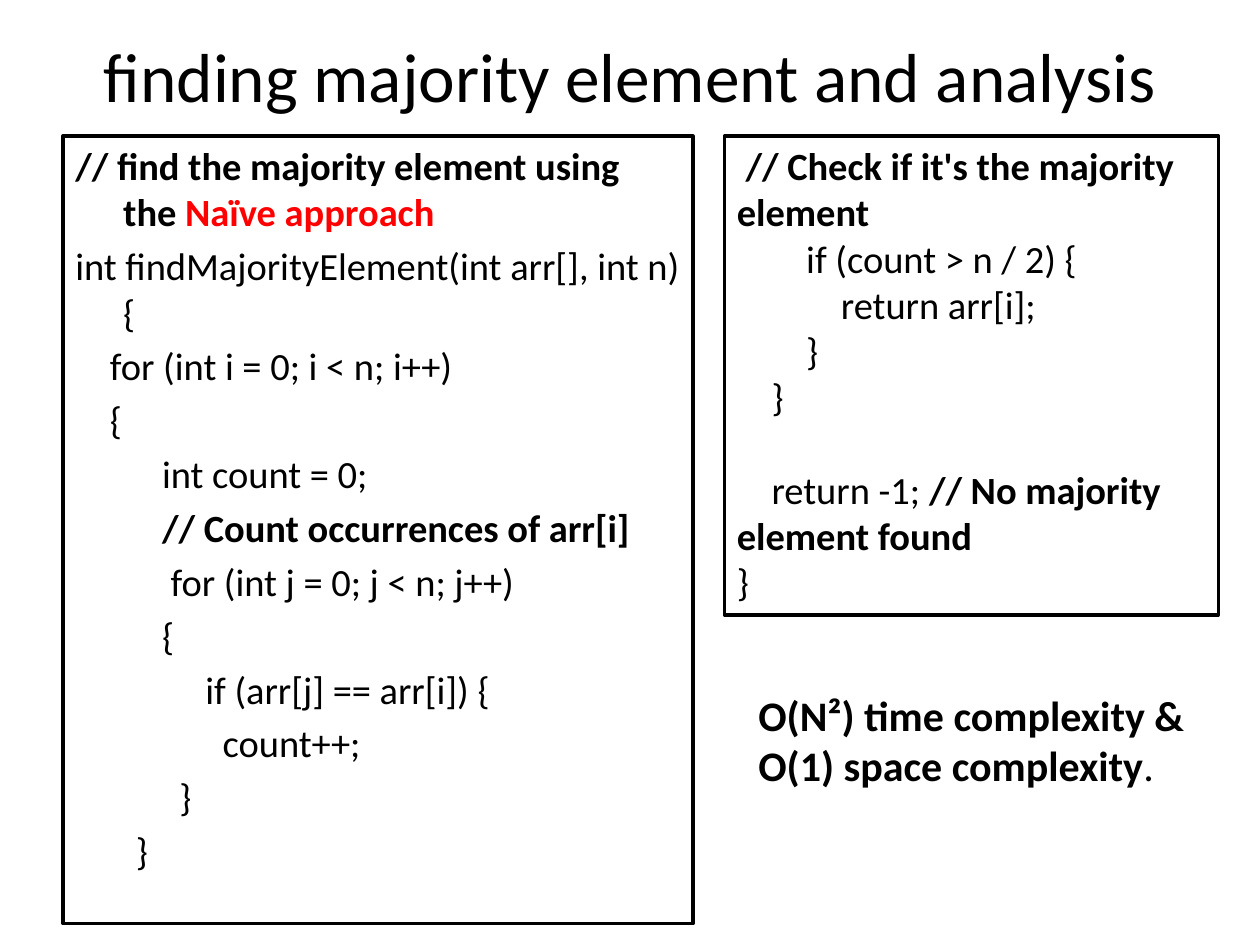
from pptx import Presentation
from pptx.dml.color import RGBColor
from pptx.enum.shapes import MSO_SHAPE
from pptx.enum.text import MSO_ANCHOR, PP_ALIGN
from pptx.util import Inches, Pt

LOOP = [
    [("// find the majority element using the ", "bold"), ("Naïve approach", "red")],
    [("int findMajorityElement(int arr[], int n) {", "code")],
    [("    for (int i = 0; i < n; i++)", "code")],
    [("    {", "code")],
    [("          int count = 0;", "code")],
    [("          ", "code"), ("// Count occurrences of arr[i]", "bold")],
    [("           for (int j = 0; j < n; j++)", "code")],
    [("          {", "code")],
    [("               if (arr[j] == arr[i]) {", "code")],
    [("                 count++;", "code")],
    [("            }", "code")],
    [("       }", "code")],
]
CHECK = [
    [(" // Check if it's the majority element", "bold")],
    [("        if (count > n / 2) {", "code")],
    [("            return arr[i];", "code")],
    [("        }", "code")],
    [("    }", "code")],
    [("    return -1; ", "code"), ("// No majority element found", "bold")],
    [("}", "code")],
]
COST = [[("O(N²) time complexity & O(1) space complexity", "bold"), (".", "code")]]
STYLES = {
    "code": ("000000", False),
    "bold": ("000000", True),
    "red": ("FF0000", True),
}


def color(text):
    return RGBColor.from_string(text)


def assign(item, values):
    for name, value in values.items():
        setattr(item, name, value)


def write(frame, lines, size, align=PP_ALIGN.LEFT, gaps=None, hang=0):
    frame.word_wrap = True
    for num, line in enumerate(lines):
        para = frame.paragraphs[0] if num == 0 else frame.add_paragraph()
        gap = (gaps or {}).get(num, 0)
        assign(para, {"alignment": align, "space_before": Pt(gap)})
        if hang:
            props = para._p.get_or_add_pPr()
            props.set("marL", str(Inches(hang)))
            props.set("indent", str(-Inches(hang)))
        for text, style in line:
            run = para.add_run()
            run.text = text
            tint, bold = STYLES[style]
            assign(run.font, {"name": "Calibri", "size": Pt(size), "bold": bold})
            run.font.color.rgb = color(tint)


def add_title(slide, box):
    frame = slide.shapes.add_textbox(*map(Inches, box)).text_frame
    assign(frame, {"vertical_anchor": MSO_ANCHOR.MIDDLE, "margin_top": 0, "margin_bottom": 0})
    write(frame, [[("finding majority element and analysis", "code")]], 39.6, PP_ALIGN.CENTER)


def add_code(slide, box, lines, gaps, hang=0):
    panel = slide.shapes.add_shape(MSO_SHAPE.RECTANGLE, *map(Inches, box))
    panel.shadow.inherit = False
    panel.fill.solid()
    panel.fill.fore_color.rgb = color("FFFFFF")
    panel.line.color.rgb = color("000000")
    panel.line.width = Pt(2)
    panel.text_frame.vertical_anchor = MSO_ANCHOR.TOP
    write(panel.text_frame, lines, 22, gaps=gaps, hang=hang)


def add_cost(slide, box):
    frame = slide.shapes.add_textbox(*map(Inches, box)).text_frame
    write(frame, COST, 24)


def main():
    deck = Presentation()
    assign(deck, {"slide_width": Inches(10), "slide_height": Inches(7.5)})
    slide = deck.slides.add_slide(deck.slide_layouts[6])
    add_title(slide, (0.5, 0.25, 9, 0.68))
    add_code(slide, (0.5, 1.08, 5, 6.25), LOOP, {num: 4.4 for num in range(1, len(LOOP))}, 0.38)
    add_code(slide, (5.75, 1.08, 3.92, 3.8), CHECK, {5: 26.4})
    add_cost(slide, (5.92, 5.42, 4.08, 0.91))
    deck.save("out.pptx")


if __name__ == "__main__":
    main()
